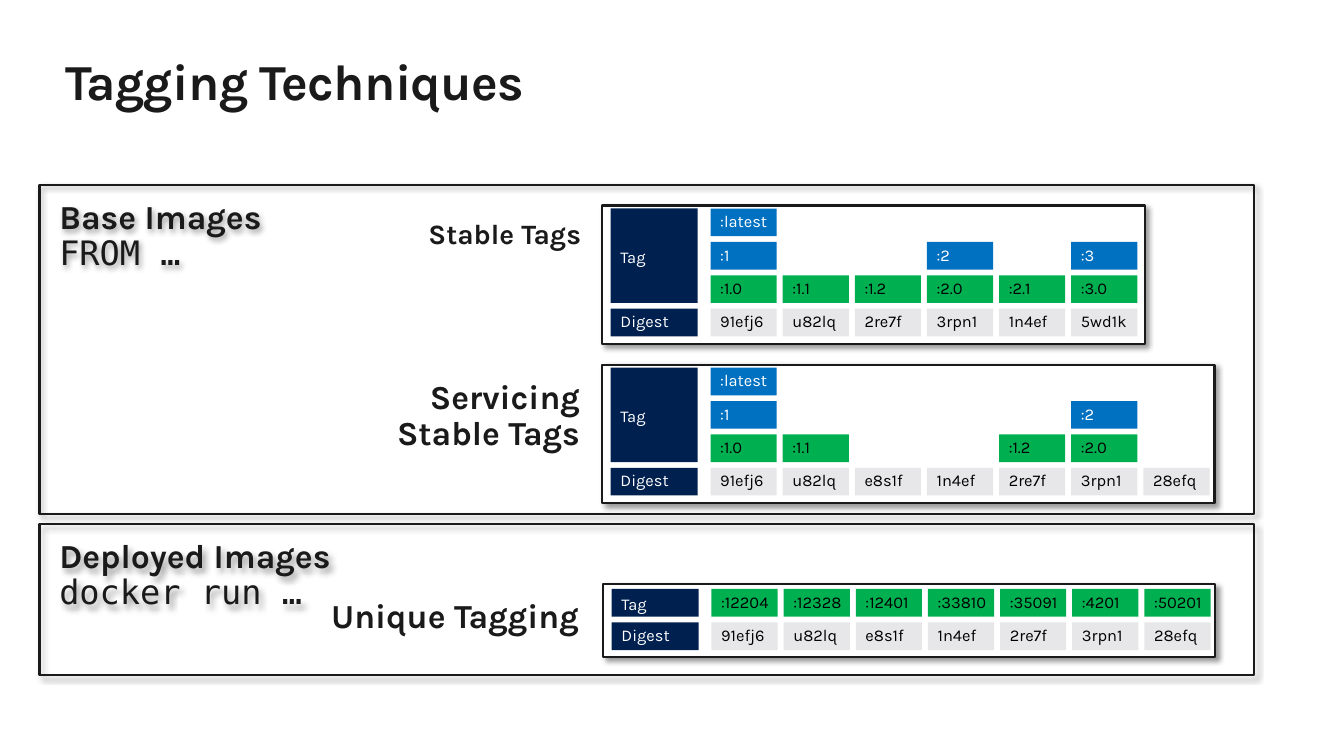
from dataclasses import dataclass

from lxml.etree import SubElement
from pptx import Presentation
from pptx.dml.color import RGBColor
from pptx.enum.shapes import MSO_SHAPE
from pptx.enum.text import MSO_ANCHOR, MSO_AUTO_SIZE, PP_ALIGN
from pptx.oxml.ns import qn
from pptx.shapes.autoshape import Shape
from pptx.slide import Slide
from pptx.text.text import TextFrame, _Paragraph
from pptx.util import Inches, Pt

COLORS = {
    "ink": "1A1A1A",
    "white": "FFFFFF",
    "black": "000000",
    "navy": "002050",
    "blue": "0070C0",
    "green": "00B050",
    "gray": "E7E7E9",
}
KARLA = "Karla"
MONO = "DejaVu Sans Mono"
ROW_PITCH = 0.338
COLUMN_PITCH = 0.73
CELL_WIDTH = 0.67
CELL_HEIGHT = 0.28
HEADER_WIDTH = 0.88


@dataclass(frozen=True)
class Digest:
    name: str
    tags: tuple[str, ...] = ()


@dataclass(frozen=True)
class Technique:
    lines: tuple[str, ...]
    label_box: tuple[float, float, float, float]
    label_size: float
    frame_box: tuple[float, float, float, float]
    padding: float
    digests: tuple[Digest, ...]


@dataclass(frozen=True)
class Panel:
    heading: str
    command: str
    top: float
    height: float


TECHNIQUES = (
    Technique(
        ("Stable Tags",), (2.31, 2.08, 3.77, 0.64), 20.4, (6.09, 2.08, 5.5, 1.4), 0.03,
        (
            Digest("91efj6", (":1.0", ":1", ":latest")),
            Digest("u82lq", (":1.1",)),
            Digest("2re7f", (":1.2",)),
            Digest("3rpn1", (":2.0", ":2")),
            Digest("1n4ef", (":2.1",)),
            Digest("5wd1k", (":3.0", ":3")),
        ),
    ),
    Technique(
        ("Servicing", "Stable Tags"), (2.3, 3.69, 3.77, 1.09), 24.5, (6.09, 3.69, 6.2, 1.4), 0.03,
        (
            Digest("91efj6", (":1.0", ":1", ":latest")),
            Digest("u82lq", (":1.1",)),
            Digest("e8s1f"),
            Digest("1n4ef"),
            Digest("2re7f", (":1.2",)),
            Digest("3rpn1", (":2.0", ":2")),
            Digest("28efq"),
        ),
    ),
    Technique(
        ("Unique Tagging",), (1.58, 5.91, 4.48, 0.71), 24.5, (6.1, 5.91, 6.2, 0.74), 0.05,
        (
            Digest("91efj6", (":12204",)),
            Digest("u82lq", (":12328",)),
            Digest("e8s1f", (":12401",)),
            Digest("1n4ef", (":33810",)),
            Digest("2re7f", (":35091",)),
            Digest("3rpn1", (":4201",)),
            Digest("28efq", (":50201",)),
        ),
    ),
)
PANELS = (
    Panel("Base Images", "FROM …", 1.87, 3.33),
    Panel("Deployed Images", "docker run …", 5.3, 1.53),
)


def rgb(color: str) -> RGBColor:
    return RGBColor.from_string(COLORS[color])


def set_insets(frame: TextFrame, left: float, top: float, right: float, bottom: float) -> None:
    frame.margin_left, frame.margin_top = Inches(left), Inches(top)
    frame.margin_right, frame.margin_bottom = Inches(right), Inches(bottom)
    frame.word_wrap = True


def add_run(paragraph: _Paragraph, text: str, size: float, color: str,
            bold: bool = False, font: str = KARLA) -> None:
    run = paragraph.add_run()
    run.text = text
    run.font.name = font
    run.font.size = Pt(size)
    run.font.bold = bold
    run.font.color.rgb = rgb(color)


def add_rectangle(slide: Slide, left: float, top: float, width: float, height: float) -> Shape:
    rectangle = slide.shapes.add_shape(
        MSO_SHAPE.RECTANGLE, Inches(left), Inches(top), Inches(width), Inches(height))
    rectangle.shadow.inherit = False
    return rectangle


def outline_with_shadow(rectangle: Shape) -> None:
    rectangle.line.color.rgb = rgb("ink")
    rectangle.line.width = Pt(1.5)
    effects = rectangle._element.spPr.find(qn("a:effectLst"))
    shadow = SubElement(effects, qn("a:outerShdw"), blurRad=str(Pt(4)), dist=str(Pt(3)),
                        dir="2700000", algn="tl", rotWithShape="0")
    shade = SubElement(shadow, qn("a:srgbClr"), val=COLORS["black"])
    SubElement(shade, qn("a:alpha"), val="40000")


def add_cell(slide: Slide, text: str, left: float, top: float, width: float, height: float,
             fill: str, color: str, anchor: MSO_ANCHOR = MSO_ANCHOR.TOP) -> None:
    cell = add_rectangle(slide, left, top, width, height)
    cell.fill.solid()
    cell.fill.fore_color.rgb = rgb(fill)
    cell.line.fill.background()
    frame = cell.text_frame
    set_insets(frame, 0.1, 0.05, 0, 0)
    frame.vertical_anchor = anchor
    paragraph = frame.paragraphs[0]
    paragraph.alignment = PP_ALIGN.LEFT
    paragraph.line_spacing = 0.9
    add_run(paragraph, text, 12, color)


def add_label(slide: Slide, technique: Technique) -> None:
    label = slide.shapes.add_textbox(*map(Inches, technique.label_box))
    frame = label.text_frame
    set_insets(frame, 0.2, 0.16, 0.2, 0.16)
    frame.auto_size = MSO_AUTO_SIZE.SHAPE_TO_FIT_TEXT
    paragraph = frame.paragraphs[0]
    paragraph.alignment = PP_ALIGN.RIGHT
    paragraph.line_spacing = 0.9
    paragraph.space_after = Pt(6.1)
    for index, line in enumerate(technique.lines):
        if index:
            paragraph.add_line_break()
        add_run(paragraph, line, technique.label_size, "ink", bold=True)


def add_technique(slide: Slide, technique: Technique) -> None:
    left, top, width, height = technique.frame_box
    frame = add_rectangle(slide, left, top, width, height)
    frame.fill.solid()
    frame.fill.fore_color.rgb = rgb("white")
    outline_with_shadow(frame)

    tag_rows = max(len(digest.tags) for digest in technique.digests)
    tag_top = top + technique.padding
    digest_top = tag_top + tag_rows * ROW_PITCH
    tag_height = (tag_rows - 1) * ROW_PITCH + CELL_HEIGHT
    header_left = left + 0.09
    add_cell(slide, "Tag", header_left, tag_top, HEADER_WIDTH, tag_height,
             "navy", "white", MSO_ANCHOR.MIDDLE)
    add_cell(slide, "Digest", header_left, digest_top, HEADER_WIDTH, CELL_HEIGHT, "navy", "white")

    for column, digest in enumerate(technique.digests):
        cell_left = left + 1.1 + column * COLUMN_PITCH
        add_cell(slide, digest.name, cell_left, digest_top, CELL_WIDTH, CELL_HEIGHT, "gray", "black")
        for level, tag in enumerate(digest.tags):
            fill, color = ("blue", "white") if level else ("green", "black")
            add_cell(slide, tag, cell_left, digest_top - (level + 1) * ROW_PITCH,
                     CELL_WIDTH, CELL_HEIGHT, fill, color)
    add_label(slide, technique)


def add_panel(slide: Slide, panel: Panel) -> None:
    outline = add_rectangle(slide, 0.4, panel.top, 12.29, panel.height)
    outline.fill.background()
    outline_with_shadow(outline)
    frame = outline.text_frame
    set_insets(frame, 0.2, 0.16, 0.2, 0.16)
    frame.vertical_anchor = MSO_ANCHOR.TOP
    heading, command = frame.paragraphs[0], frame.add_paragraph()
    for paragraph in (heading, command):
        paragraph.alignment = PP_ALIGN.LEFT
        paragraph.line_spacing = 0.9
    add_run(heading, panel.heading, 24.5, "ink", bold=True)
    add_run(command, panel.command, 24.5, "ink", font=MONO)


def add_title(slide: Slide) -> None:
    title = slide.shapes.title
    title.left, title.top = Inches(0.66), Inches(0.51)
    title.width, title.height = Inches(12.29), Inches(0.62)
    frame = title.text_frame
    set_insets(frame, 0, 0, 0, 0)
    frame.vertical_anchor = MSO_ANCHOR.TOP
    frame.auto_size = MSO_AUTO_SIZE.SHAPE_TO_FIT_TEXT
    paragraph = frame.paragraphs[0]
    paragraph.alignment = PP_ALIGN.LEFT
    add_run(paragraph, "Tagging Techniques", 36.7, "ink", bold=True)
    paragraph.runs[0].font._element.set("spc", "-50")


def main() -> None:
    presentation = Presentation()
    presentation.slide_width, presentation.slide_height = Inches(13.6), Inches(7.65)
    slide = presentation.slides.add_slide(presentation.slide_layouts[5])
    add_title(slide)
    for technique in TECHNIQUES:
        add_technique(slide, technique)
    for panel in PANELS:
        add_panel(slide, panel)
    presentation.save("out.pptx")


if __name__ == "__main__":
    main()
